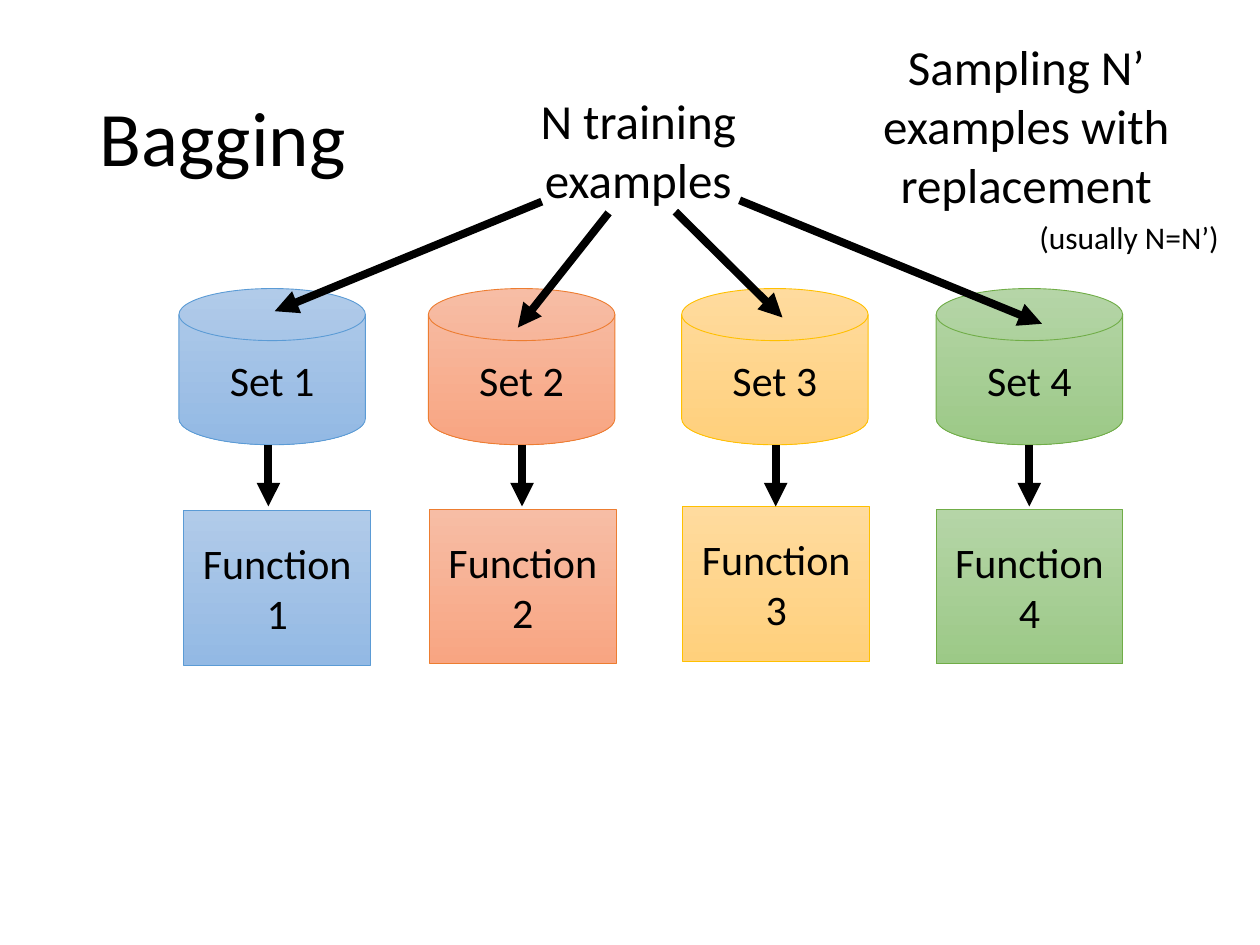
from lxml.etree import SubElement
from pptx import Presentation
from pptx.dml.color import RGBColor
from pptx.enum.shapes import MSO_CONNECTOR, MSO_SHAPE
from pptx.enum.text import MSO_ANCHOR, PP_ALIGN
from pptx.oxml.ns import qn
from pptx.util import Inches, Pt

BLACK = RGBColor(0x00, 0x00, 0x00)
# Each palette holds gradient top, gradient bottom and outline.
BLUE = RGBColor(0xB1, 0xCB, 0xE9), RGBColor(0x93, 0xB9, 0xE4), RGBColor(0x5B, 0x9B, 0xD5)
ORANGE = RGBColor(0xF7, 0xBD, 0xA5), RGBColor(0xF8, 0xA5, 0x82), RGBColor(0xED, 0x7D, 0x31)
GOLD = RGBColor(0xFF, 0xDB, 0x9E), RGBColor(0xFF, 0xD0, 0x7C), RGBColor(0xFF, 0xC0, 0x00)
GREEN = RGBColor(0xB5, 0xD5, 0xA7), RGBColor(0x9C, 0xC9, 0x87), RGBColor(0x70, 0xAD, 0x47)

COLUMNS, ROWS = 100, 75
NODE_WIDTH = 14.8
ARROW_START, ARROW_PITCH = 21.3, 20.13

# Palette, set column, function column and row, sampling arrow start and end.
BRANCHES = [
    (BLUE, 14.2, (14.6, 40.5), (43, 16), (21.8, 24.7)),
    (ORANGE, 34, (34.1, 40.4), (48.3, 16.9), (41.1, 26)),
    (GOLD, 54.1, (54.2, 40.2), (53.6, 16.8), (62.1, 25.2)),
    (GREEN, 74.3, (74.3, 40.4), (58.7, 15.9), (82.7, 25.7)),
]


class Diagram:
    """Draws on one page; all places are columns and rows of its grid."""

    font = "Calibri"

    def __init__(self, deck):
        self.page = deck.slides.add_slide(deck.slide_layouts[6])
        self.column = deck.slide_width / COLUMNS
        self.row = deck.slide_height / ROWS

    def place(self, *lengths):
        units = self.column, self.row
        return [round(length * units[i % 2]) for i, length in enumerate(lengths)]

    def set_text(self, shape, lines, size, align, anchor, wrap=True, spacing=None):
        frame = shape.text_frame
        frame.text = "\n".join(lines)
        frame.word_wrap = wrap
        frame.vertical_anchor = anchor
        for para in frame.paragraphs:
            para.alignment = align
            para.line_spacing = spacing
            para.font.name = self.font
            para.font.size = Pt(size)
            para.font.color.rgb = BLACK

    def text(self, area, line, size, align=PP_ALIGN.CENTER, anchor=MSO_ANCHOR.TOP, **layout):
        box = self.page.shapes.add_textbox(*self.place(*area))
        self.set_text(box, [line], size, align, anchor, **layout)

    def node(self, kind, area, lines, palette):
        top, bottom, outline = palette
        shape = self.page.shapes.add_shape(kind, *self.place(*area))
        shape.shadow.inherit = False
        shape.fill.gradient()
        shape.fill.gradient_angle = 270
        for stop, color in zip(shape.fill.gradient_stops, (top, bottom)):
            stop.color.rgb = color
        shape.line.color.rgb = outline
        shape.line.width = Pt(0.5)
        self.set_text(shape, lines, 24, PP_ALIGN.CENTER, MSO_ANCHOR.MIDDLE)

    def arrow(self, start, end):
        connector = self.page.shapes.add_connector(
            MSO_CONNECTOR.STRAIGHT, *self.place(*start, *end))
        connector.line.color.rgb = BLACK
        connector.line.width = Pt(4.5)
        properties = connector._element.spPr
        SubElement(properties.find(qn("a:ln")), qn("a:tailEnd"), type="triangle")
        SubElement(properties, qn("a:effectLst"))


def main():
    deck = Presentation()
    deck.slide_width, deck.slide_height = Inches(10), Inches(7.5)
    diagram = Diagram(deck)

    diagram.text((6.9, 4, 86.2, 14.5), "Bagging", 44, PP_ALIGN.LEFT, MSO_ANCHOR.MIDDLE, spacing=0.9)
    diagram.text((37.2, 6.7, 26.9, 10.4), "N training examples", 28)
    diagram.text((64.4, 2.4, 34.1, 15.1), "Sampling N’ examples with replacement", 28)

    for number, (palette, set_column, function, _, _) in enumerate(BRANCHES, 1):
        diagram.node(MSO_SHAPE.FLOWCHART_MAGNETIC_DISK, (set_column, 22.9, NODE_WIDTH, 12.4),
                     [f"Set {number}"], palette)
        diagram.node(MSO_SHAPE.RECTANGLE, (*function, NODE_WIDTH, 12.3),
                     ["Function", str(number)], palette)

    for index, (*_, start, end) in enumerate(BRANCHES):
        diagram.arrow(start, end)
        middle = ARROW_START + index * ARROW_PITCH
        diagram.arrow((middle, 35.3), (middle, 40.2))

    diagram.text((81.5, 16.8, 16.4, 4), "(usually N=N’)", 18, PP_ALIGN.LEFT, wrap=False)
    deck.save("out.pptx")


if __name__ == "__main__":
    main()
